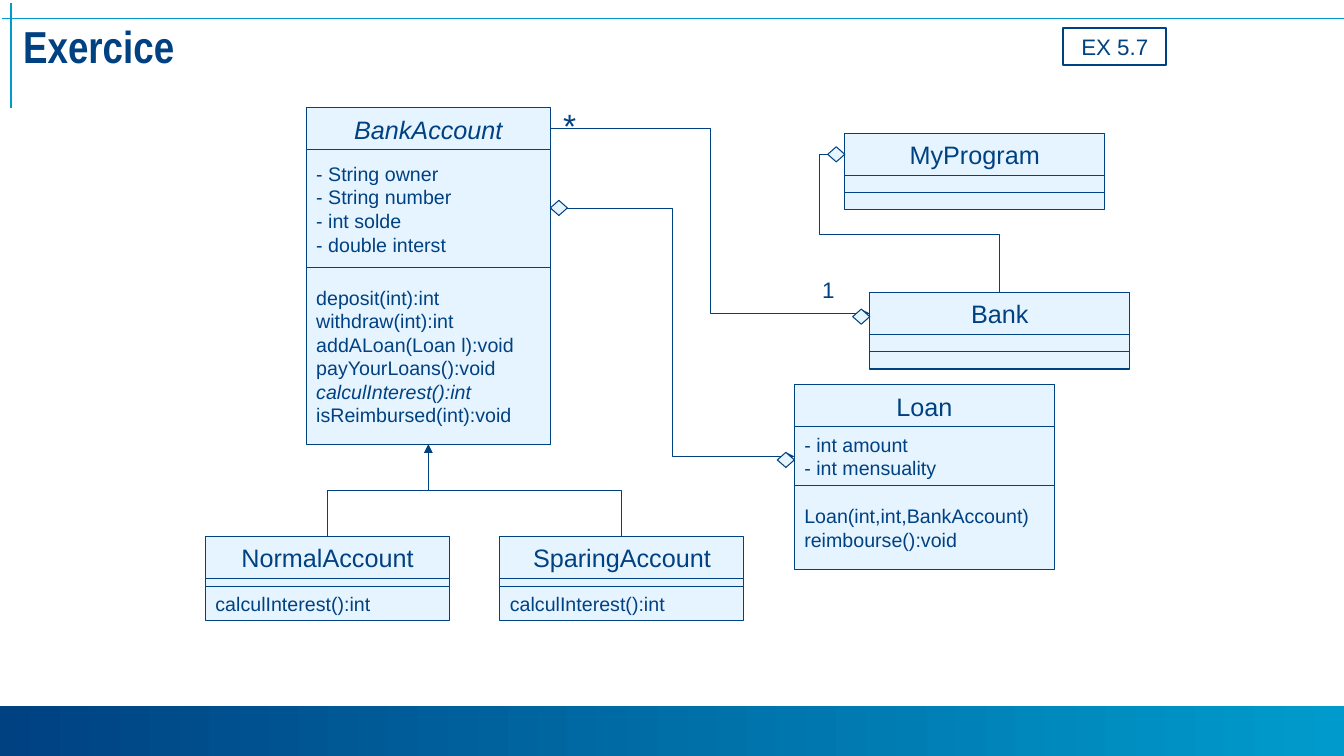
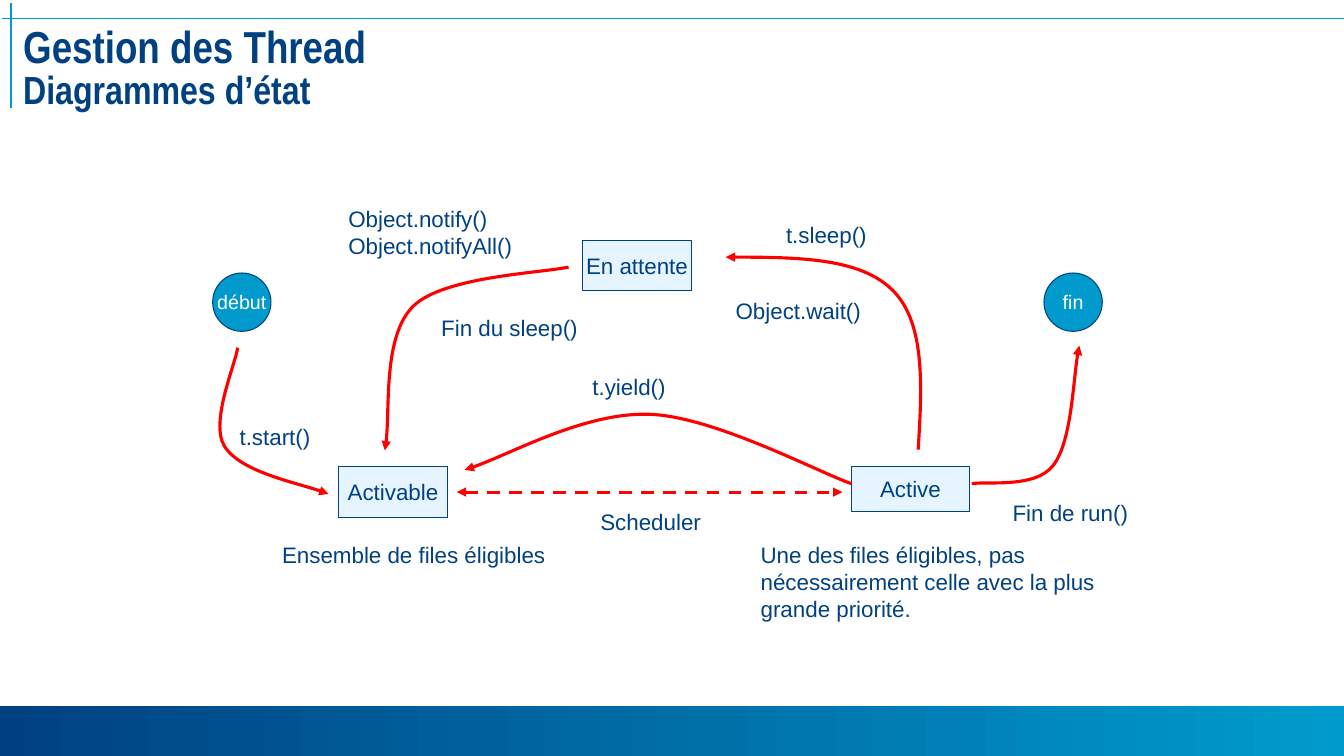
from lxml.etree import SubElement
from pptx import Presentation
from pptx.dml.color import RGBColor
from pptx.enum.dml import MSO_LINE
from pptx.enum.shapes import MSO_CONNECTOR as LINK, MSO_SHAPE as SHAPE
from pptx.enum.text import MSO_ANCHOR as ANCHOR, MSO_AUTO_SIZE as FIT, PP_ALIGN as ALIGN
from pptx.oxml.ns import qn
from pptx.util import Cm, Pt

NAVY, BLUE, PALE, RED, WHITE = "004182", "009BCC", "E6F4FF", "FF0000", "FFFFFF"


def colour(value):
    """Turn a hex string into a colour."""
    return RGBColor.from_string(value)


class Style:
    """Holds the look of the deck and the page being drawn."""

    def __init__(self):
        """Open a wide deck with a title-only layout."""
        self.deck = Presentation()
        self.deck.slide_width, self.deck.slide_height = Cm(33.87), Cm(19.05)
        self.layout = self.deck.slide_layouts[5]
        title, *others = self.layout.placeholders
        for holder in others:
            holder.element.getparent().remove(holder.element)
        title.left, title.top, title.width, title.height = Cm(0.33), Cm(0.56), Cm(33.3), Cm(2.57)
        self.page = None

    def start(self, *lines):
        """Begin a page whose title has a large line and smaller ones."""
        self.page = self.deck.slides.add_slide(self.layout)
        if len(self.deck.slides) == 1:
            self.frame()
        frame = self.page.shapes.title.text_frame
        frame.auto_size, frame.vertical_anchor = FIT.NONE, ANCHOR.TOP
        para = frame.paragraphs[0]
        para.text = "\v".join(lines)
        para.alignment, para.line_spacing = ALIGN.LEFT, 0.85
        for index, span in enumerate(para.runs):
            self.font(span.font, 28 if index else 32, NAVY, "Arial Narrow")
            span.font.bold = True

    def frame(self):
        """Draw the band and rules once and hand them to the layout."""
        band = self.box(0, 17.8, 33.87, 1.25)
        band.line.fill.background()
        band.fill.gradient()
        band.fill.gradient_angle = 0
        for stop, shade, place in zip(band.fill.gradient_stops, (NAVY, BLUE), (0, 1)):
            stop.color.rgb, stop.position = colour(shade), place
        rules = [self.line((0.05, 0.46), (33.87, 0.46), BLUE, 1),
                 self.line((0.28, 0.08), (0.28, 2.72), BLUE, 1)]
        for item in [band, *rules]:
            self.layout.shapes.element.append(item.element)

    def font(self, font, size, shade, name="Arial"):
        """Set face, size and colour of a font."""
        font.name, font.size, font.color.rgb = name, Pt(size), colour(shade)

    def put_text(self, shape, lines, size, shade=NAVY, align=ALIGN.LEFT, anchor=ANCHOR.MIDDLE, italic=()):
        """Put lines in a shape, one paragraph each, without wrapping."""
        frame = shape.text_frame
        frame.text = "\n".join(lines)
        frame.word_wrap, frame.vertical_anchor = False, anchor
        for para in frame.paragraphs:
            para.alignment = align
            for span in para.runs:
                self.font(span.font, size, shade)
                span.font.italic = span.text in italic

    def box(self, left, top, width, height, kind=SHAPE.RECTANGLE, fill=PALE, weight=0.75):
        """Add an outlined shape, unfilled when fill is None."""
        shape = self.page.shapes.add_shape(kind, Cm(left), Cm(top), Cm(width), Cm(height))
        shape.shadow.inherit = False
        if fill:
            shape.fill.solid()
            shape.fill.fore_color.rgb = colour(fill)
        else:
            shape.fill.background()
        shape.line.color.rgb, shape.line.width = colour(NAVY), Pt(weight)
        return shape

    def class_box(self, left, top, width, name, fields, fields_height, methods, methods_height, italic=()):
        """Stack the name, fields and methods of a class."""
        parts = [([name], 1.06, 18, ALIGN.CENTER),
                 (fields, fields_height, 14, ALIGN.LEFT),
                 (methods, methods_height, 14, ALIGN.LEFT)]
        for lines, height, size, align in parts:
            shape = self.box(left, top, width, height)
            if lines:
                self.put_text(shape, lines, size, align=align, italic=italic)
            top += height

    def state(self, text, left, top, width, height):
        """Add a state rectangle."""
        self.put_text(self.box(left, top, width, height), [text], 16, align=ALIGN.CENTER)

    def terminal(self, text, left, top):
        """Add a start or end circle."""
        circle = self.box(left, top, 1.47, 1.47, SHAPE.OVAL, BLUE)
        self.put_text(circle, [text], 14, WHITE, ALIGN.CENTER)

    def label(self, left, top, width, *lines, size=16):
        """Add free text sized to its lines."""
        height = len(lines) * size * 0.0425 + 0.25
        box = self.page.shapes.add_textbox(Cm(left), Cm(top), Cm(width), Cm(height))
        self.put_text(box, lines, size, anchor=ANCHOR.TOP)

    def ends(self, shape, head, tail):
        """Put triangles on the ends of a line."""
        outline = shape.element.spPr.find(qn("a:ln"))
        for tag, wanted in (("a:headEnd", head), ("a:tailEnd", tail)):
            if wanted:
                SubElement(outline, qn(tag), type="triangle")

    def line(self, start, end, shade=NAVY, weight=0.75, kind=LINK.STRAIGHT, dash=None, head=False, tail=False):
        """Add a connector between two points."""
        link = self.page.shapes.add_connector(kind, *(Cm(value) for value in (*start, *end)))
        link.line.color.rgb, link.line.width = colour(shade), Pt(weight)
        if dash:
            link.line.dash_style = dash
        self.ends(link, head, tail)
        SubElement(link.element.spPr, qn("a:effectLst"))
        return link

    def upright_elbow(self, start, end, preset="bentConnector3", bends=(50000,), **ends):
        """Add an elbow that leaves its start vertically."""
        (x1, y1), (x2, y2) = start, end
        middle_x, middle_y = (x1 + x2) / 2, (y1 + y2) / 2
        half_width, half_height = abs(y2 - y1) / 2, abs(x2 - x1) / 2
        link = self.line((middle_x - half_width, middle_y - half_height),
                         (middle_x + half_width, middle_y + half_height), kind=LINK.ELBOW, **ends)
        leftward = x2 < x1
        xfrm = link.element.spPr.find(qn("a:xfrm"))
        xfrm.set("rot", str((90 if leftward else 270) * 60000))
        if leftward != (y2 > y1):
            xfrm.set("flipH", "1")
        geometry = link.element.spPr.find(qn("a:prstGeom"))
        geometry.set("prst", preset)
        guides = geometry.find(qn("a:avLst"))
        for number, bend in enumerate(bends, 1):
            SubElement(guides, qn("a:gd"), name=f"adj{number}", fmla=f"val {bend}")

    def curve(self, *points):
        """Add a red arrow along Bézier points: a start, then threes."""
        start, *rest = [(Cm(x), Cm(y)) for x, y in points]
        builder = self.page.shapes.build_freeform(*start)
        builder.add_line_segments(rest, close=False)
        arrow = builder.convert_to_shape()
        arrow.shadow.inherit = False
        arrow.fill.background()
        arrow.line.color.rgb, arrow.line.width = colour(RED), Pt(2.25)
        self.ends(arrow, False, True)
        outline = next(arrow.element.iter(qn("a:path")))
        for index, step in enumerate(outline.findall(qn("a:lnTo"))):
            if index % 3 == 0:
                cubic = SubElement(outline, qn("a:cubicBezTo"))
            cubic.append(step[0])
            outline.remove(step)


def class_page(style):
    """Draw the bank class diagram."""
    style.start("Exercice")
    small, large, children = 6.15, 6.55, 13.52
    account_left, account_bottom = 7.72, 11.2
    account_right = account_left + small
    interest = "calculInterest():int"
    subclasses = (("NormalAccount", 5.18), ("SparingAccount", 12.6))
    for name, left in subclasses:
        style.upright_elbow((account_left + small / 2, account_bottom), (left + small / 2, children), head=True)
        style.class_box(left, children, small, name, [], 0.2, [interest], 0.85)
    style.class_box(account_left, 2.72, small, "BankAccount",
                    ["- String owner", "- String number", "- int solde", "- double interst"], 2.97,
                    ["deposit(int):int", "withdraw(int):int", "addALoan(Loan l):void",
                     "payYourLoans():void", interest, "isReimbursed(int):void"], 4.45,
                    italic=("BankAccount", interest))
    style.class_box(20.02, 9.7, large, "Loan", ["- int amount", "- int mensuality"], 1.48,
                    ["Loan(int,int,BankAccount)", "reimbourse():void"], 2.12)
    for name, left, top in (("Bank", 21.92, 7.38), ("MyProgram", 21.29, 3.36)):
        style.class_box(left, top, large, name, [], 0.43, [], 0.43)
    style.line((account_right, 5.26), (20.02, 11.5), kind=LINK.ELBOW, head=True, tail=True)
    style.line((account_right, 3.25), (21.92, 7.9), kind=LINK.ELBOW, tail=True)
    style.upright_elbow((25.2, 7.38), (21.29, 3.89), "bentConnector4", (42400, 116200), tail=True)
    for left, top in ((19.59, 11.4), (21.49, 7.79), (account_right, 5.05), (20.86, 3.7)):
        style.box(left, top, 0.43, 0.38, SHAPE.DIAMOND)
    style.label(20.47, 6.83, 0.81, "1")
    style.label(13.94, 2.51, 0.84, "*", size=24)
    tag = style.box(26.8, 0.71, 2.59, 0.94, fill=None, weight=1.5)
    style.put_text(tag, ["EX 5.7"], 16, align=ALIGN.CENTER)


def state_page(style):
    """Draw the thread state diagram."""
    style.start("Gestion des Thread", "Diagrammes d’état")
    style.state("Activable", 8.53, 11.76, 2.75, 1.27)
    style.state("Active", 21.46, 11.76, 2.97, 1.12)
    style.state("En attente", 14.68, 6.05, 2.75, 1.27)
    style.terminal("début", 5.36, 6.88)
    style.terminal("fin", 26.31, 6.88)
    style.line((11.51, 12.4), (21.23, 12.4), RED, 2.25, dash=MSO_LINE.DASH, head=True, tail=True)
    style.curve((23.14, 11.33), (23.24, 9.73), (23.32, 8.13), (22.5, 7.32),
                (21.69, 6.5), (19.99, 6.48), (18.29, 6.48))
    style.curve((14.33, 6.73), (13.67, 6.88), (11.18, 6.96), (10.41, 7.72),
                (9.65, 8.48), (9.86, 10.59), (9.7, 11.35))
    style.curve((5.99, 8.76), (5.94, 9.17), (5.28, 10.64), (5.66, 11.25),
                (6.07, 11.89), (7.75, 12.22), (8.28, 12.45))
    style.curve((24.49, 12.19), (24.82, 12.12), (26.09, 12.32), (26.54, 11.73),
                (27, 11.15), (27.05, 9.35), (27.2, 8.71))
    style.curve((21.46, 12.19), (20.6, 11.89), (17.98, 10.49), (16.36, 10.44),
                (14.73, 10.39), (12.67, 11.56), (11.71, 11.84))
    style.label(8.53, 5.05, 4.65, "Object.notify()", "Object.notifyAll()")
    style.label(10.87, 7.8, 3.96, "Fin du sleep()")
    style.label(19.56, 5.46, 2.57, "t.sleep()")
    style.label(18.29, 7.37, 3.68, "Object.wait()")
    style.label(14.68, 9.27, 2.36, "t.yield()")
    style.label(5.79, 10.54, 2.31, "t.start()")
    style.label(14.88, 12.67, 3.05, "Scheduler")
    style.label(25.27, 12.45, 3.43, "Fin de run()")
    style.label(6.86, 13.51, 7.14, "Ensemble de files éligibles")
    style.label(18.92, 13.51, 9.09, "Une des files éligibles, pas",
                "nécessairement celle avec la plus", "grande priorité.")


def main():
    """Build both pages and save the deck."""
    style = Style()
    class_page(style)
    state_page(style)
    style.deck.save("out.pptx")


if __name__ == "__main__":
    main()
